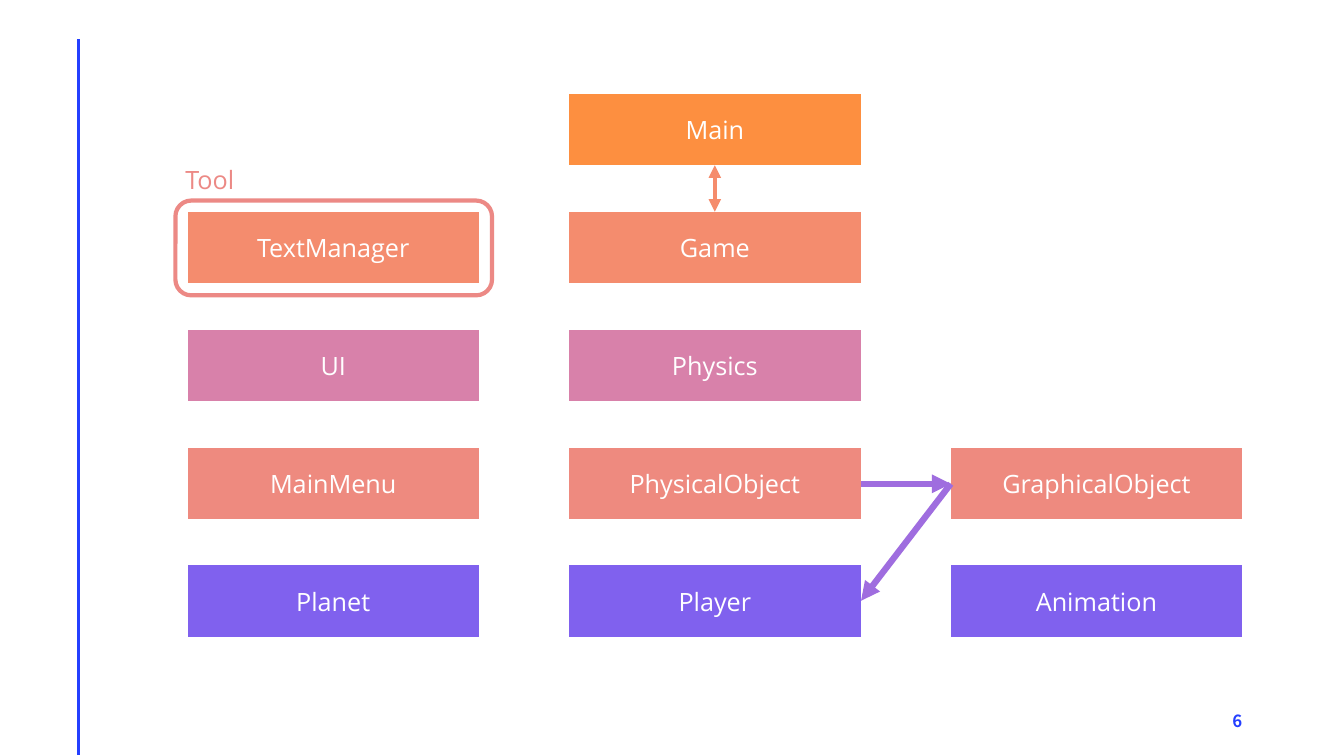
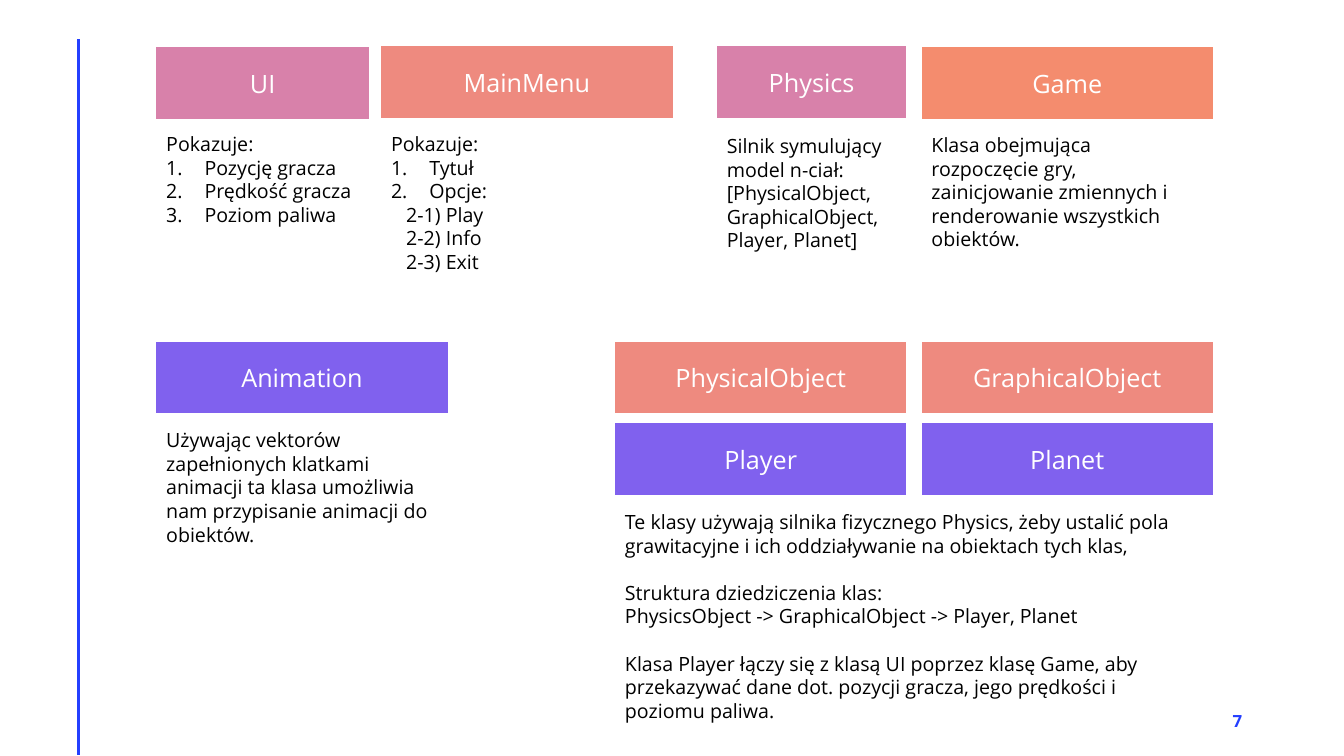
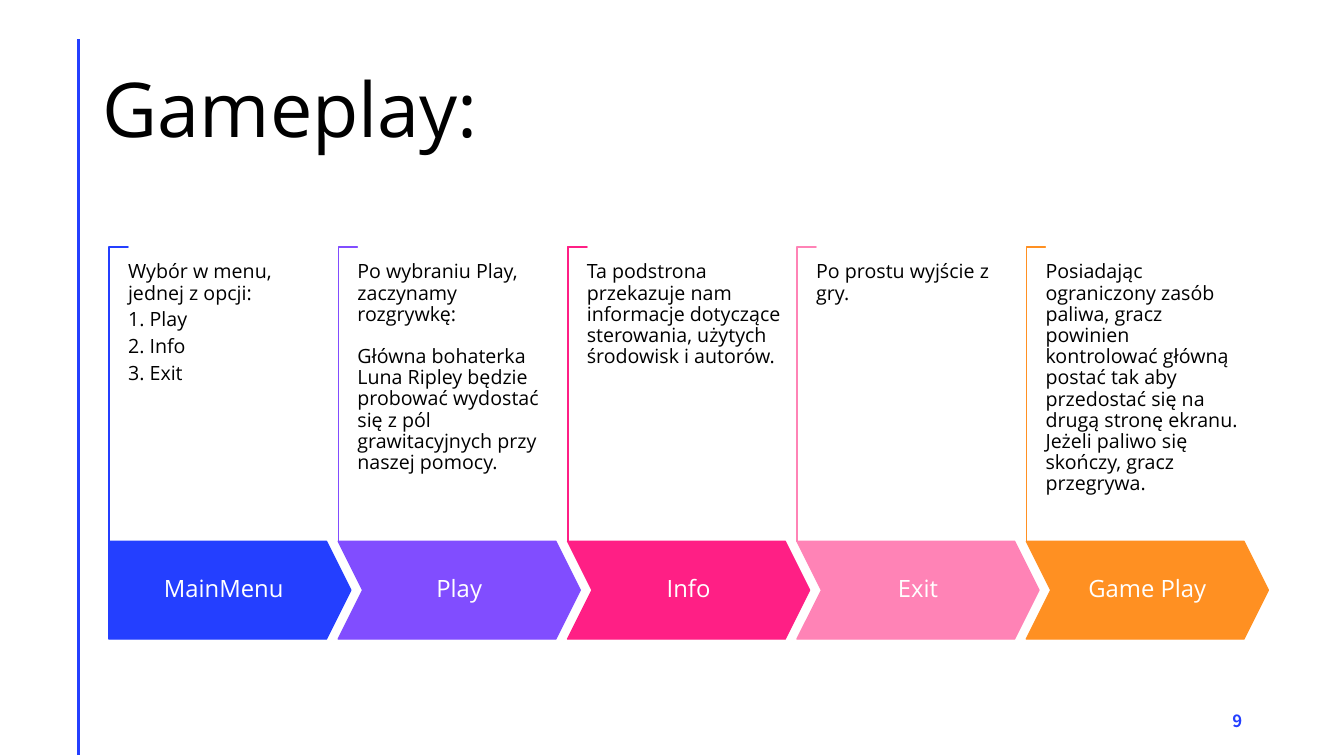
from pptx import Presentation
from pptx.dml.color import RGBColor
from pptx.enum.shapes import MSO_CONNECTOR as Line, MSO_SHAPE as Shape
from pptx.enum.text import MSO_ANCHOR as Anchor, PP_ALIGN as Align
from pptx.oxml.xmlchemy import OxmlElement
from pptx.util import Inches, Pt

COLORS = {
    "black": "000000", "white": "FFFFFF", "blue": "243FFF",
    "orange": "FD8F40", "apricot": "F48C6E", "mauve": "D881AA",
    "salmon": "EE8A7F", "violet": "8061EE",
    "frame": "EC8985", "inherit": "9F6DDF", "link": "F58C6C",
    "purple": "814DFF", "pink": "FF1F85", "rose": "FF83B6", "amber": "FF9022",
}
CLASS_COLORS = {
    "Main": "orange", "Game": "apricot", "TextManager": "apricot",
    "UI": "mauve", "Physics": "mauve",
    "MainMenu": "salmon", "PhysicalObject": "salmon", "GraphicalObject": "salmon",
    "Planet": "violet", "Player": "violet", "Animation": "violet",
}
FONT = "Open Sans"
NUMBER_FONT = "Noto Sans CJK KR"
BLOCK_W, BLOCK_H = 2.89, 0.71


def color(name):
    return RGBColor.from_string(COLORS[name])


def numbered(text):
    return text, {"number": True}


def write(box, text, size=14, ink="black", font=FONT, bold=False, align=Align.LEFT,
          anchor=Anchor.TOP, spacing=None, insets=(0.1, 0.05)):
    """Fill a box; text is a string or a list of strings and (string, options) pairs."""
    frame = box.text_frame
    frame.word_wrap = True
    frame.vertical_anchor = anchor
    frame.margin_left = frame.margin_right = Inches(insets[0])
    frame.margin_top = frame.margin_bottom = Inches(insets[1])
    for index, item in enumerate([text] if isinstance(text, str) else text):
        words, options = (item, {}) if isinstance(item, str) else item
        para = frame.paragraphs[0] if index == 0 else frame.add_paragraph()
        para.alignment = align
        if spacing:
            para.line_spacing = spacing
        if "before" in options:
            para.space_before = Pt(options["before"])
        props = para._p.get_or_add_pPr()
        if "indent" in options:
            props.set("marL", str(Inches(options["indent"])))
        if options.get("number"):
            props.set("marL", str(Inches(0.38)))
            props.set("indent", str(-Inches(0.38)))
            bullet = OxmlElement("a:buAutoNum")
            bullet.set("type", "arabicPeriod")
            props.append(bullet)
        span = para.add_run()
        span.text = words
        span.font.size = Pt(size)
        span.font.name = font
        span.font.bold = bold
        span.font.color.rgb = color(ink)


class Deck:
    def __init__(self):
        self.deck = Presentation()
        self.deck.slide_width, self.deck.slide_height = Inches(13.33), Inches(7.5)
        self.page = None

    def new_page(self, number, font=NUMBER_FONT):
        self.page = self.deck.slides.add_slide(self.deck.slide_layouts[6])
        self.line((0.78, 0.39), (0.78, 7.49), "blue", 2)
        self.text(number, 9.42, 6.95, 3, 0.4, size=12, ink="blue", font=font,
                  bold=True, align=Align.RIGHT, anchor=Anchor.MIDDLE)

    def text(self, text, left, top, width, height, **style):
        box = self.page.shapes.add_textbox(*map(Inches, (left, top, width, height)))
        write(box, text, **style)

    def shape(self, kind, left, top, width, height, fill=None, line=None, weight=1, adjust=()):
        box = self.page.shapes.add_shape(kind, *map(Inches, (left, top, width, height)))
        box.shadow.inherit = False
        for index, value in enumerate(adjust):
            box.adjustments[index] = value
        if fill:
            box.fill.solid()
            box.fill.fore_color.rgb = color(fill)
        else:
            box.fill.background()
        if line:
            box.line.color.rgb = color(line)
            box.line.width = Pt(weight)
        else:
            box.line.fill.background()
        return box

    def block(self, name, left, top, width=BLOCK_W):
        box = self.shape(Shape.FLOWCHART_PROCESS, left, top, width, BLOCK_H, CLASS_COLORS[name])
        write(box, name, size=18, ink="white", align=Align.CENTER, anchor=Anchor.MIDDLE)

    def line(self, start, end, ink, weight, heads=()):
        """Straight line; heads holds headEnd and tailEnd for arrows, in that order."""
        link = self.page.shapes.add_connector(Line.STRAIGHT, *map(Inches, start + end))
        link.line.color.rgb = color(ink)
        link.line.width = Pt(weight)
        for head in heads:
            arrow = OxmlElement("a:" + head)
            arrow.set("type", "triangle")
            link.line._get_or_add_ln().append(arrow)
        link._element.spPr.append(OxmlElement("a:effectLst"))

    def step(self, name, ink, text, left, kind):
        """One stage of the process: bracket, arrow block and description."""
        top, height, bracket_w, bracket_h = 5.37, 0.97, 0.19, 2.92
        bracket = self.shape(Shape.CORNER, left + (bracket_w - bracket_h) / 2,
                             top - (bracket_h + bracket_w) / 2, bracket_h, bracket_w,
                             "white", ink, adjust=(0.01, 0.01))
        bracket.rotation = 90
        arrow = self.shape(kind, left, top, 2.4, height, ink, ink, adjust=(0.25,))
        write(arrow, name, size=17, ink="white", align=Align.CENTER,
              anchor=Anchor.MIDDLE, spacing=0.9)
        self.text(text, left + 0.19, 2.6, 1.95, 2.07, spacing=0.9, insets=(0, 0))


def class_map(deck):
    deck.new_page("6")
    grid = [
        (None, "Main", None),
        ("TextManager", "Game", None),
        ("UI", "Physics", None),
        ("MainMenu", "PhysicalObject", "GraphicalObject"),
        ("Planet", "Player", "Animation"),
    ]
    for row, names in enumerate(grid):
        for column, name in enumerate(names):
            if name:
                deck.block(name, 1.86 + 3.785 * column, 0.93 + 1.17 * row)
    # Tool group
    deck.shape(Shape.ROUNDED_RECTANGLE, 1.74, 1.99, 3.14, 0.94,
               line="frame", weight=3, adjust=(0.167,))
    deck.text("Tool", 1.74, 1.58, 0.76, 0.4, size=18, ink="frame")
    # Relations
    deck.line((8.54, 4.8), (9.43, 4.8), "inherit", 4.5, ["tailEnd"])
    deck.line((9.43, 4.8), (8.54, 5.96), "inherit", 4.5, ["tailEnd"])
    deck.line((7.09, 1.64), (7.09, 2.1), "link", 3, ["headEnd", "tailEnd"])


def class_notes(deck):
    deck.new_page("7", font=FONT)
    blocks = [
        ("UI", 1.55, 0.47, 2.11), ("MainMenu", 3.78, 0.46, BLOCK_W),
        ("Physics", 7.11, 0.46, 1.88), ("Game", 9.14, 0.47, BLOCK_W),
        ("Animation", 1.55, 3.39, BLOCK_W),
        ("PhysicalObject", 6.1, 3.39, BLOCK_W), ("GraphicalObject", 9.14, 3.39, BLOCK_W),
        ("Player", 6.1, 4.2, BLOCK_W), ("Planet", 9.14, 4.2, BLOCK_W),
    ]
    for block in blocks:
        deck.block(*block)
    # Descriptions under the blocks
    options = [(text, {"indent": 0.15}) for text in ("2-1) Play", "2-2) Info", "2-3) Exit")]
    notes = [
        (["Pokazuje:", numbered("Pozycję gracza"), numbered("Prędkość gracza"),
          numbered("Poziom paliwa")], 1.55, 1.26, 2.11, 1.04),
        (["Pokazuje:", numbered("Tytuł"), numbered("Opcje:")] + options,
         3.78, 1.26, BLOCK_W, 1.52),
        (["Silnik symulujący model n-ciał:",
          "[PhysicalObject, GraphicalObject, Player, Planet]"], 7.11, 1.28, 1.88, 1.28),
        ("Klasa obejmująca rozpoczęcie gry, zainicjowanie zmiennych i renderowanie "
         "wszystkich obiektów.", 9.14, 1.27, BLOCK_W, 1.28),
        ("Używając vektorów zapełnionych klatkami animacji ta klasa umożliwia nam "
         "przypisanie animacji do obiektów.", 1.55, 4.2, BLOCK_W, 1.28),
        (["Te klasy używają silnika fizycznego Physics, żeby ustalić pola grawitacyjne "
          "i ich oddziaływanie na obiektach tych klas,",
          ("Struktura dziedziczenia klas:", {"before": 17}),
          "PhysicsObject -> GraphicalObject -> Player, Planet",
          ("Klasa Player łączy się z klasą UI poprzez klasę Game, aby przekazywać dane "
           "dot. pozycji gracza, jego prędkości i poziomu paliwa.", {"before": 17})],
         6.1, 5.01, 5.92, 2.46),
    ]
    for note in notes:
        deck.text(*note)


def gameplay(deck):
    deck.new_page("9")
    deck.text("Gameplay:", 0.92, 0.4, 11.5, 1.45, size=54, anchor=Anchor.MIDDLE, spacing=0.9)
    choices = [(text, {"before": 3.9}) for text in ("1. Play", "2. Info", "3. Exit")]
    steps = [
        ("MainMenu", "blue", ["Wybór w menu, jednej z opcji:"] + choices),
        ("Play", "purple", [
            "Po wybraniu Play, zaczynamy rozgrywkę:",
            ("Główna bohaterka Luna Ripley będzie probować wydostać się z pól "
             "grawitacyjnych przy naszej pomocy.", {"before": 15})]),
        ("Info", "pink", "Ta podstrona przekazuje nam informacje dotyczące sterowania, "
                         "użytych środowisk i autorów."),
        ("Exit", "rose", "Po prostu wyjście z gry."),
        ("Game Play", "amber",
         "Posiadając ograniczony zasób paliwa, gracz powinien kontrolować główną postać "
         "tak aby przedostać się na drugą stronę ekranu. Jeżeli paliwo się skończy, "
         "gracz przegrywa."),
    ]
    for index, (name, ink, text) in enumerate(steps):
        kind = Shape.CHEVRON if index else Shape.PENTAGON
        deck.step(name, ink, text, 1.08 + 2.275 * index, kind)


def main():
    deck = Deck()
    class_map(deck)
    class_notes(deck)
    gameplay(deck)
    deck.deck.save("out.pptx")


if __name__ == "__main__":
    main()
